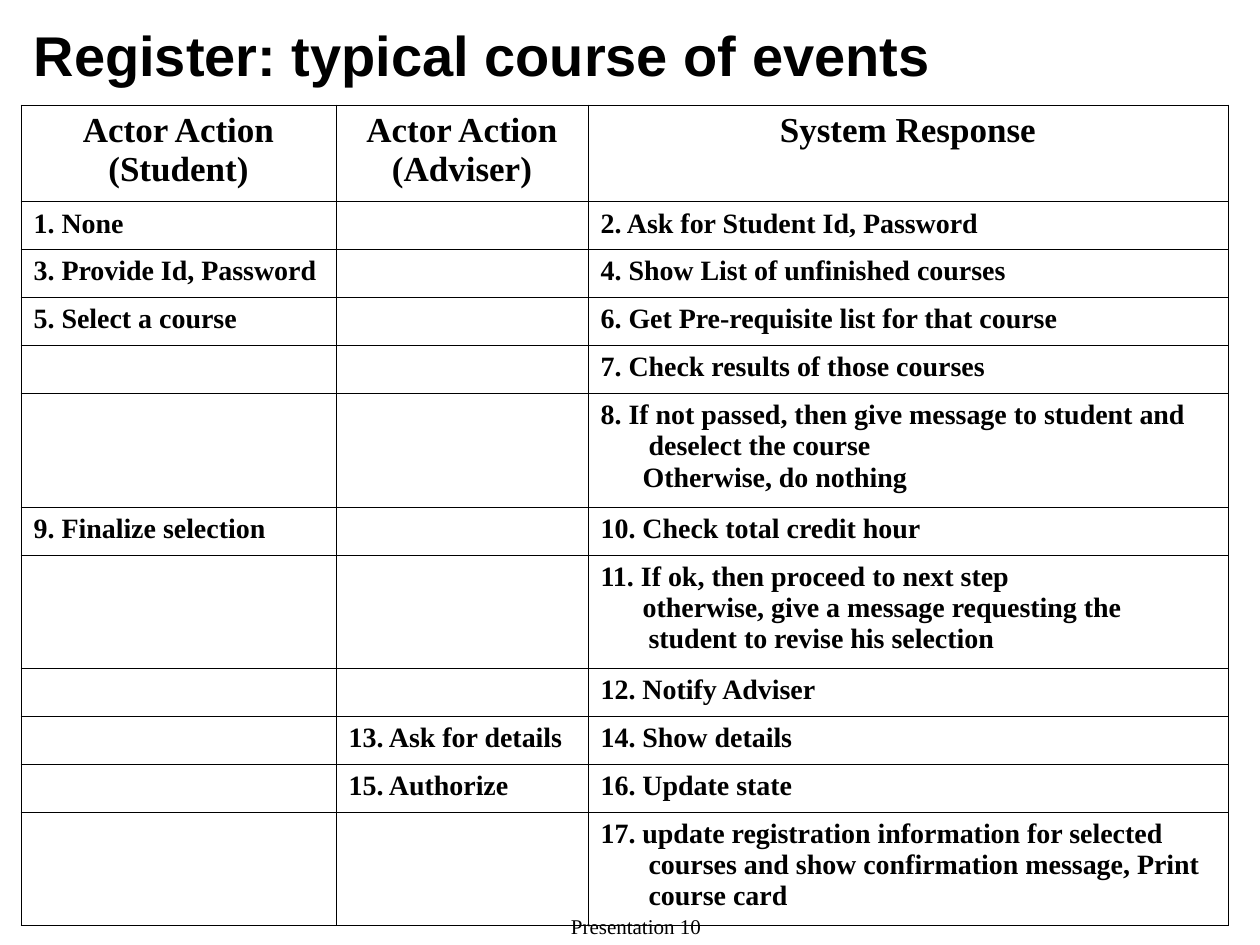
from lxml import etree
from pptx import Presentation
from pptx.dml.color import RGBColor
from pptx.enum.text import MSO_ANCHOR, MSO_AUTO_SIZE, PP_ALIGN
from pptx.oxml.ns import qn
from pptx.util import Emu, Pt

CENTER, LEFT = PP_ALIGN.CENTER, PP_ALIGN.LEFT
MIDDLE, BOTTOM = MSO_ANCHOR.MIDDLE, MSO_ANCHOR.BOTTOM
NO_AUTOFIT = MSO_AUTO_SIZE.NONE

PX_PER_INCH = 126
COLORS = {"text": "000000", "border": "000000"}
SANS, SERIF = "Arial", "Times New Roman"
HEADER_SIZE, BODY_SIZE = 20, 16
BORDER_POINTS = 0.45
HANG = 48        # left margin of wrapped lines
CONTINUED = 42   # first line of a second paragraph

COLUMN_WIDTHS = [315, 252, 640]
HEADER_HEIGHT, SINGLE_HEIGHT, TALL_HEIGHT = 96, 48, 113

# Each cell is a list of paragraphs
HEADERS = [["Actor Action", "(Student)"], ["Actor Action", "(Adviser)"], ["System Response"]]
EVENTS = [
    [["1. None"], [], ["2. Ask for Student Id, Password"]],
    [["3. Provide Id, Password"], [], ["4. Show List of unfinished courses"]],
    [["5. Select a course"], [], ["6. Get Pre-requisite list for that course"]],
    [[], [], ["7. Check results of those courses"]],
    [[], [], ["8. If not passed, then give message to student and deselect the course",
              "Otherwise, do nothing"]],
    [["9. Finalize selection"], [], ["10. Check total credit hour"]],
    [[], [], ["11. If ok, then proceed to next step",
              "otherwise, give a message requesting the student to revise his selection"]],
    [[], [], ["12. Notify Adviser"]],
    [[], ["13. Ask for details"], ["14. Show details"]],
    [[], ["15. Authorize"], ["16. Update state"]],
    [[], [], ["17. update registration information for selected courses and show "
              "confirmation message, Print course card"]],
]
TALL_EVENTS = {4, 6, 10}


def px(length):
    return Emu(round(length * 914400 / PX_PER_INCH))


def add_run(paragraph, text, size, font, bold=False):
    run = paragraph.add_run()
    run.text = text
    run.font.size = Pt(size)
    run.font.name = font
    run.font.bold = bold
    run.font.color.rgb = RGBColor.from_string(COLORS["text"])


def place_title(slide, left, top, width, height):
    title = slide.shapes.title
    title.left, title.top, title.width, title.height = map(px, (left, top, width, height))
    frame = title.text_frame
    frame.auto_size = NO_AUTOFIT
    frame.vertical_anchor = MIDDLE
    paragraph = frame.paragraphs[0]
    paragraph.alignment = LEFT
    add_run(paragraph, "Register: typical course of events", 32, SANS, bold=True)


def add_footer(slide, left, top, width, height):
    footer = slide.shapes.add_textbox(*map(px, (left, top, width, height)))
    frame = footer.text_frame
    frame.word_wrap = True
    frame.vertical_anchor = BOTTOM
    paragraph = frame.paragraphs[0]
    paragraph.alignment = CENTER
    add_run(paragraph, "Presentation 10", 12, SERIF)


def set_borders(cell):
    properties = cell._tc.get_or_add_tcPr()
    for side in ("a:lnL", "a:lnR", "a:lnT", "a:lnB"):
        line = etree.SubElement(properties, qn(side), w=str(Pt(BORDER_POINTS)))
        fill = etree.SubElement(line, qn("a:solidFill"))
        etree.SubElement(fill, qn("a:srgbClr"), val=COLORS["border"])


def set_indent(paragraph, margin, first_line):
    properties = paragraph._p.get_or_add_pPr()
    properties.set("marL", str(px(margin)))
    properties.set("indent", str(px(first_line - margin)))


def fill_cell(cell, texts, is_header):
    set_borders(cell)
    cell.fill.background()
    frame = cell.text_frame
    if not texts:
        # Keeps an empty cell from stretching its row
        etree.SubElement(frame.paragraphs[0]._p, qn("a:endParaRPr"), sz=str(BODY_SIZE * 100))
    for index, text in enumerate(texts):
        paragraph = frame.add_paragraph() if index else frame.paragraphs[0]
        if is_header:
            paragraph.alignment = CENTER
        else:
            set_indent(paragraph, HANG, CONTINUED if index else 0)
        add_run(paragraph, text, HEADER_SIZE if is_header else BODY_SIZE, SERIF, bold=True)


def add_event_table(slide, left, top):
    rows = [HEADERS] + EVENTS
    heights = [HEADER_HEIGHT] + [
        TALL_HEIGHT if index in TALL_EVENTS else SINGLE_HEIGHT for index in range(len(EVENTS))]
    box = map(px, (left, top, sum(COLUMN_WIDTHS), sum(heights)))
    table = slide.shapes.add_table(len(rows), len(COLUMN_WIDTHS), *box).table
    table.first_row = True
    table.horz_banding = False
    for column, width in zip(table.columns, COLUMN_WIDTHS):
        column.width = px(width)
    for row_index, (row, height) in enumerate(zip(rows, heights)):
        table.rows[row_index].height = px(height)
        for column_index, texts in enumerate(row):
            fill_cell(table.cell(row_index, column_index), texts, row_index == 0)


def main():
    presentation = Presentation()
    presentation.slide_width, presentation.slide_height = px(1260), px(945)
    slide = presentation.slides.add_slide(presentation.slide_layouts[5])
    add_footer(slide, 431, 914, 410, 31)
    place_title(slide, 21, 21, 1134, 67)
    add_event_table(slide, 21, 105)
    presentation.save("out.pptx")


if __name__ == "__main__":
    main()
